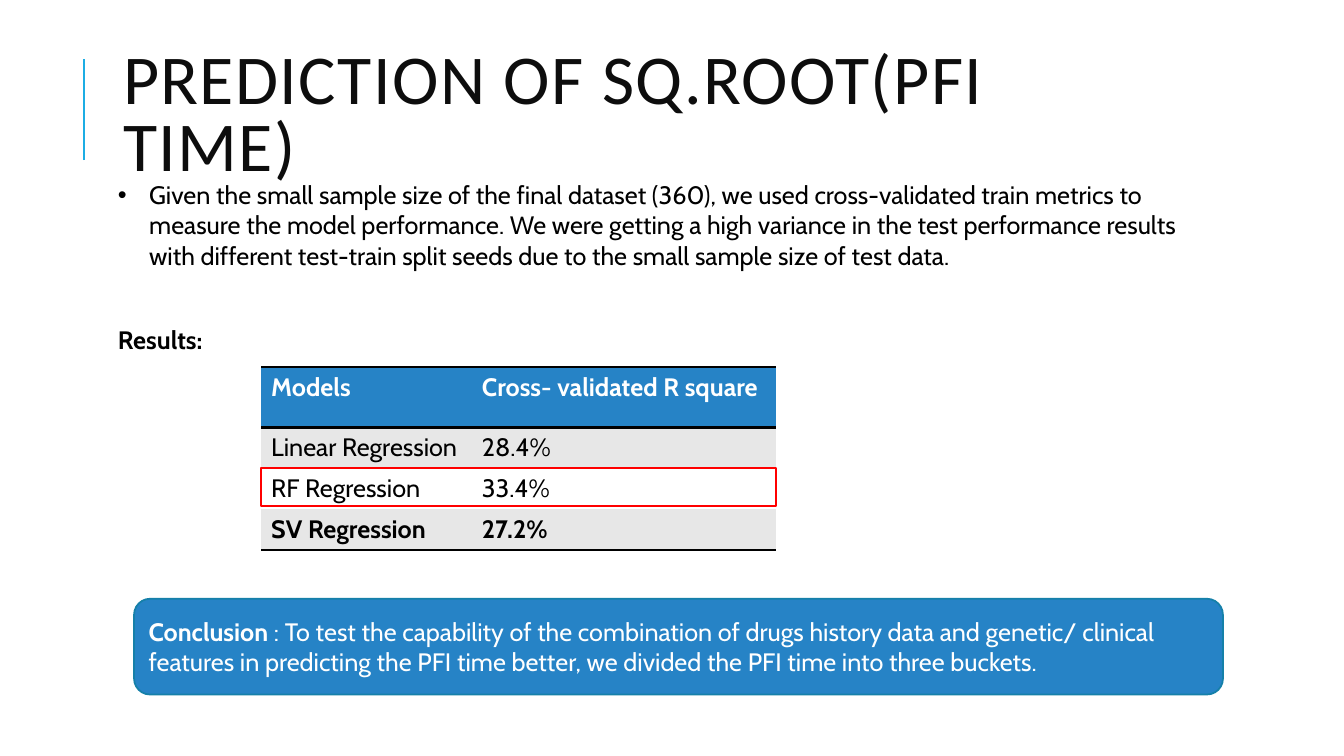
from lxml import etree
from pptx import Presentation
from pptx.dml.color import RGBColor
from pptx.enum.shapes import MSO_CONNECTOR, MSO_SHAPE
from pptx.enum.text import MSO_ANCHOR, MSO_AUTO_SIZE, PP_ALIGN
from pptx.oxml.ns import qn
from pptx.util import Inches, Pt

COLORS = {"title": "0D0D0D", "text": "000000", "white": "FFFFFF", "blue": "2683C6",
          "band": "E7E7E7", "edge": "1580A9", "accent": "1CADE4", "mark": "FF0000"}
TITLE = "PREDICTION OF SQ.ROOT(PFI TIME)"
REASON = ("Given the small sample size of the final dataset (360), we used cross-validated "
          "train metrics to measure the model performance. We were getting a high variance in "
          "the test performance results with different test-train split seeds due to the small "
          "sample size of test data.")
RESULTS = [("Models", "Cross- validated R square"),
           ("Linear Regression", "28.4%"),
           ("RF Regression", "33.4%"),
           ("SV Regression", "27.2%")]
CONCLUSION = (" : To test the capability of the combination of drugs history data and genetic/ "
              "clinical features in predicting the PFI time better, we divided the PFI time "
              "into three buckets.")
COL_WIDTHS = [2.09, 3.02]
ROW_HEIGHTS = [0.6, 0.4, 0.4, 0.4]
TABLE_LEFT, TABLE_TOP, TABLE_WIDTH = 2.59, 3.64, sum(COL_WIDTHS)
NO_GRID_STYLE = "{2D5ABB26-0587-4C30-8999-92F81FD0307C}"


def rgb(name):
    return RGBColor.from_string(COLORS[name])


def box(left, top, width, height):
    return [Inches(v) for v in (left, top, width, height)]


def place(shape, *at):
    shape.left, shape.top, shape.width, shape.height = box(*at)


def add_text(p, text, size=18, font="Cabin", color="text", bold=False):
    r = p.add_run()
    r.text = text
    r.font.size, r.font.name, r.font.bold = Pt(size), font, bold
    r.font.color.rgb = rgb(color)
    return r


def set_bullet(p, char=None, indent=0):
    pPr = p._p.get_or_add_pPr()
    pPr.set("marL", str(Inches(indent)))
    pPr.set("indent", str(-Inches(indent)))
    if char:
        etree.SubElement(pPr, qn("a:buChar"), char=char)
    else:
        etree.SubElement(pPr, qn("a:buNone"))


def set_borders(cell, *sides):
    """Draw 2 pt lines on the given sides: T or B."""
    tcPr = cell._tc.get_or_add_tcPr()
    for i, side in enumerate(sides):
        ln = etree.Element(qn(f"a:ln{side}"), w=str(Pt(2)))
        fill = etree.SubElement(ln, qn("a:solidFill"))
        etree.SubElement(fill, qn("a:srgbClr"), val=COLORS["text"])
        tcPr.insert(i, ln)


def add_box(s, kind, at, line, fill=None):
    sp = s.shapes.add_shape(kind, *box(*at))
    sp.shadow.inherit = False
    sp.line.color.rgb, sp.line.width = rgb(line), Pt(1.25)
    if fill:
        sp.fill.solid()
        sp.fill.fore_color.rgb = rgb(fill)
    else:
        sp.fill.background()
    return sp


def add_title(s):
    rule = s.shapes.add_connector(MSO_CONNECTOR.STRAIGHT, Inches(0.83), Inches(1.59),
                                  Inches(0.83), Inches(0.59))
    rule.line.color.rgb, rule.line.width = rgb("accent"), Pt(1.5)
    etree.SubElement(rule._element.spPr, qn("a:effectLst"))
    title = s.shapes.title
    place(title, 1.12, 0.35, 10.63, 1.64)
    tf = title.text_frame
    tf.auto_size, tf.vertical_anchor = MSO_AUTO_SIZE.NONE, MSO_ANCHOR.MIDDLE
    tf.margin_right = Inches(0.2)
    p = tf.paragraphs[0]
    p.alignment, p.line_spacing = PP_ALIGN.LEFT, 0.8
    r = add_text(p, TITLE, size=50, font="Calibri", color="title")
    r.font._element.set("spc", "100")


def add_body(s):
    body = s.placeholders[1]
    place(body, 1.12, 1.49, 10.63, 5.36)
    tf = body.text_frame
    tf.auto_size, tf.vertical_anchor = MSO_AUTO_SIZE.NONE, MSO_ANCHOR.TOP
    tf.margin_left = tf.margin_right = tf.margin_bottom = Inches(0.05)
    tf.margin_top = Inches(0.29)
    reason, results = tf.paragraphs[0], tf.add_paragraph()
    for p, before in ((reason, 0), (results, 39)):
        p.line_spacing, p.space_before = 1.0, Pt(before)
    set_bullet(reason, "•", 0.31)
    set_bullet(results)
    add_text(reason, REASON)
    add_text(results, "Results:", bold=True)


def add_results(s):
    frame = s.shapes.add_table(len(RESULTS), len(COL_WIDTHS), *box(
        TABLE_LEFT, TABLE_TOP, TABLE_WIDTH, sum(ROW_HEIGHTS)))
    table = frame.table
    table._tbl.tblPr.find(qn("a:tableStyleId")).text = NO_GRID_STYLE
    for col, width in zip(table.columns, COL_WIDTHS):
        col.width = Inches(width)
    last = len(RESULTS) - 1
    for i, values in enumerate(RESULTS):
        table.rows[i].height = Inches(ROW_HEIGHTS[i])
        fill = "blue" if i == 0 else "band" if i % 2 else "white"
        for cell, value in zip(table.rows[i].cells, values):
            cell.fill.solid()
            cell.fill.fore_color.rgb = rgb(fill)
            add_text(cell.text_frame.paragraphs[0], value, bold=i in (0, last),
                     color="text" if i else "white")
            if i == 0:
                set_borders(cell, "T", "B")
            elif i == last:
                set_borders(cell, "B")


def add_conclusion(s):
    sp = add_box(s, MSO_SHAPE.ROUNDED_RECTANGLE, (1.33, 5.94, 10.8, 0.95), "edge", "blue")
    tf = sp.text_frame
    tf.word_wrap, tf.vertical_anchor = True, MSO_ANCHOR.MIDDLE
    p = tf.paragraphs[0]
    p.alignment = PP_ALIGN.LEFT
    add_text(p, "Conclusion", color="white", bold=True)
    add_text(p, CONCLUSION, color="white")


def main():
    prs = Presentation()
    prs.slide_width, prs.slide_height = Inches(13.33), Inches(7.5)
    s = prs.slides.add_slide(prs.slide_layouts[1])
    add_title(s)
    add_body(s)
    add_results(s)
    add_conclusion(s)
    best_row_top = TABLE_TOP + sum(ROW_HEIGHTS[:2])
    add_box(s, MSO_SHAPE.RECTANGLE, (TABLE_LEFT, best_row_top, TABLE_WIDTH, 0.38), "mark")
    prs.save("out.pptx")


if __name__ == "__main__":
    main()
